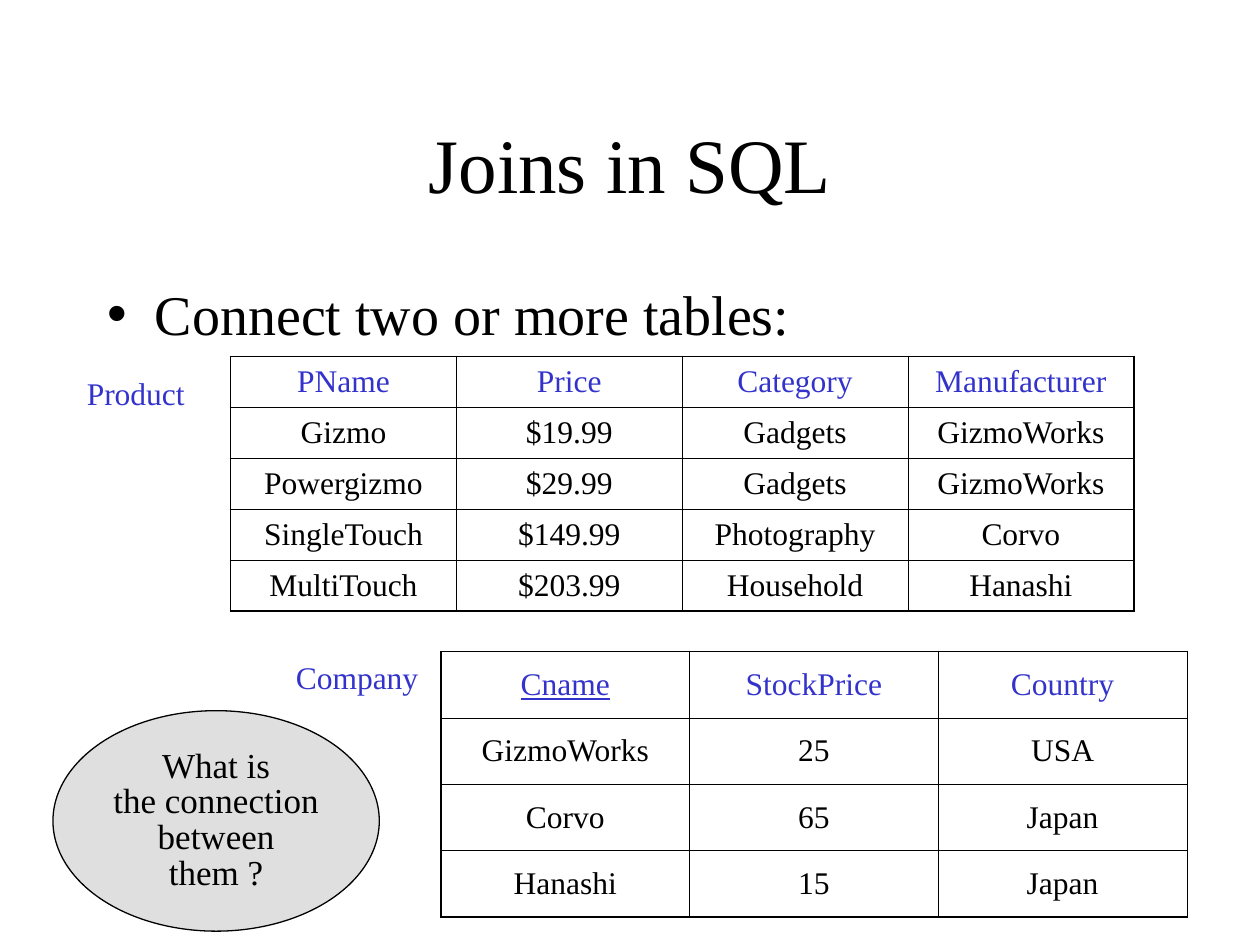
from dataclasses import dataclass

from lxml import etree
from pptx import Presentation
from pptx.dml.color import RGBColor
from pptx.enum.shapes import MSO_SHAPE
from pptx.enum.text import MSO_ANCHOR, MSO_AUTO_SIZE, PP_ALIGN
from pptx.oxml.ns import qn
from pptx.util import Inches, Pt

CENTER, LEFT = PP_ALIGN.CENTER, PP_ALIGN.LEFT
MIDDLE, TOP = MSO_ANCHOR.MIDDLE, MSO_ANCHOR.TOP
NO_AUTOFIT = MSO_AUTO_SIZE.NONE
ELLIPSE = MSO_SHAPE.OVAL

BLACK = RGBColor(0x00, 0x00, 0x00)
WHITE = RGBColor(0xFF, 0xFF, 0xFF)
BLUE = RGBColor(0x33, 0x33, 0xCC)
GRAY = RGBColor(0xC0, 0xC0, 0xC0)
FONT = "Times New Roman"
THIN, THICK = 0.45, 1.08


@dataclass
class Box:
    left: float
    top: float
    width: float
    height: float

    def emu(self) -> tuple:
        return tuple(Inches(v) for v in (self.left, self.top, self.width, self.height))


@dataclass
class Relation:
    name: str
    label: Box
    box: Box
    rows: list
    key: str = ""  # underlined column
    fill: RGBColor | None = None
    header_rule: float = THIN
    right_edge: float = THICK


RELATIONS = [
    Relation("Product", Box(0.59, 2.92, 0.98, 0.4), Box(1.83, 2.83, 7.17, 2.02), [
        ("PName", "Price", "Category", "Manufacturer"),
        ("Gizmo", "$19.99", "Gadgets", "GizmoWorks"),
        ("Powergizmo", "$29.99", "Gadgets", "GizmoWorks"),
        ("SingleTouch", "$149.99", "Photography", "Corvo"),
        ("MultiTouch", "$203.99", "Household", "Hanashi"),
    ], header_rule=THICK),
    Relation("Company", Box(2.25, 5.17, 1.17, 0.4), Box(3.5, 5.17, 5.92, 2.11), [
        ("Cname", "StockPrice", "Country"),
        ("GizmoWorks", "25", "USA"),
        ("Corvo", "65", "Japan"),
        ("Hanashi", "15", "Japan"),
    ], key="Cname", fill=WHITE, right_edge=THIN),
]


def format_text(tf, size: float, color: RGBColor, align=LEFT, before=0, spacing=1.0) -> None:
    for p in tf.paragraphs:
        p.alignment = align
        p.space_before = Pt(before)
        p.line_spacing = spacing
        for r in p.runs:
            r.font.name = FONT
            r.font.size = Pt(size)
            r.font.color.rgb = color


def fill_placeholder(sp, box: Box, text: str, size: float, anchor, align, before=0) -> None:
    sp.left, sp.top, sp.width, sp.height = box.emu()
    tf = sp.text_frame
    tf.text = text
    tf.auto_size = NO_AUTOFIT
    tf.vertical_anchor = anchor
    format_text(tf, size, BLACK, align, before)


def set_bullet(p, indent: float) -> None:
    pPr = p._p.get_or_add_pPr()
    pPr.set("marL", str(Inches(indent)))
    pPr.set("indent", str(-Inches(indent)))
    etree.SubElement(pPr, qn("a:buChar"), char="•")


def set_borders(cell, widths: dict) -> None:
    tcPr = cell._tc.get_or_add_tcPr()
    for side, width in widths.items():
        ln = etree.SubElement(tcPr, qn(f"a:ln{side}"), w=str(Pt(width)))
        solid = etree.SubElement(ln, qn("a:solidFill"))
        etree.SubElement(solid, qn("a:srgbClr"), val=str(BLACK))


def draw_label(s, rel: Relation) -> None:
    tf = s.shapes.add_textbox(*rel.label.emu()).text_frame
    tf.word_wrap = False
    tf.text = rel.name
    format_text(tf, 18, BLUE)


def draw_table(s, rel: Relation) -> None:
    n_rows, n_cols = len(rel.rows), len(rel.rows[0])
    table = s.shapes.add_table(n_rows, n_cols, *rel.box.emu()).table
    table.first_row = table.horz_banding = False
    for col in table.columns:
        col.width = Inches(rel.box.width / n_cols)
    for row in table.rows:
        row.height = Inches(rel.box.height / n_rows)
    for i, values in enumerate(rel.rows):
        for j, value in enumerate(values):
            cell = table.cell(i, j)
            cell.text = value
            cell.vertical_anchor = MIDDLE
            format_text(cell.text_frame, 18, BLACK if i else BLUE, CENTER, 4.5)
            if value == rel.key:
                cell.text_frame.paragraphs[0].runs[0].font.underline = True
            set_borders(cell, {
                "L": THIN if j else THICK,
                "R": rel.right_edge if j == n_cols - 1 else THIN,
                "T": {0: THICK, 1: rel.header_rule}.get(i, THIN),
                "B": THICK if i == n_rows - 1 else THIN if i else rel.header_rule,
            })
            if rel.fill is None:
                cell.fill.background()
            else:
                cell.fill.solid()
                cell.fill.fore_color.rgb = rel.fill


def draw_question(s, box: Box, text: str) -> None:
    sp = s.shapes.add_shape(ELLIPSE, *box.emu())
    sp.shadow.inherit = False
    sp.fill.solid()
    sp.fill.fore_color.rgb = GRAY
    color = sp._element.spPr.find(qn("a:solidFill"))[0]
    etree.SubElement(color, qn("a:alpha"), val="50000")
    sp.line.color.rgb = BLACK
    sp.line.width = Pt(0.75)
    tf = sp.text_frame
    tf.word_wrap = False
    tf.vertical_anchor = MIDDLE
    tf.text = text
    format_text(tf, 20, BLACK, CENTER, spacing=0.85)


def main() -> None:
    prs = Presentation()
    prs.slide_width, prs.slide_height = Inches(10), Inches(7.5)
    s = prs.slides.add_slide(prs.slide_layouts[1])

    # Title and bullet
    title, body = s.placeholders
    fill_placeholder(title, Box(0.75, 0.67, 8.5, 1.25), "Joins in SQL", 44, MIDDLE, CENTER)
    fill_placeholder(body, Box(0.75, 2.17, 8.5, 4.5), "Connect two or more tables:",
                     32, TOP, LEFT, 8)
    set_bullet(body.text_frame.paragraphs[0], 0.38)

    # Labelled tables
    for rel in RELATIONS:
        draw_label(s, rel)
        draw_table(s, rel)

    # Question
    draw_question(s, Box(0.42, 5.64, 2.59, 1.75),
                  "What is\nthe connection\nbetween\nthem ?")

    prs.save("out.pptx")


if __name__ == "__main__":
    main()
